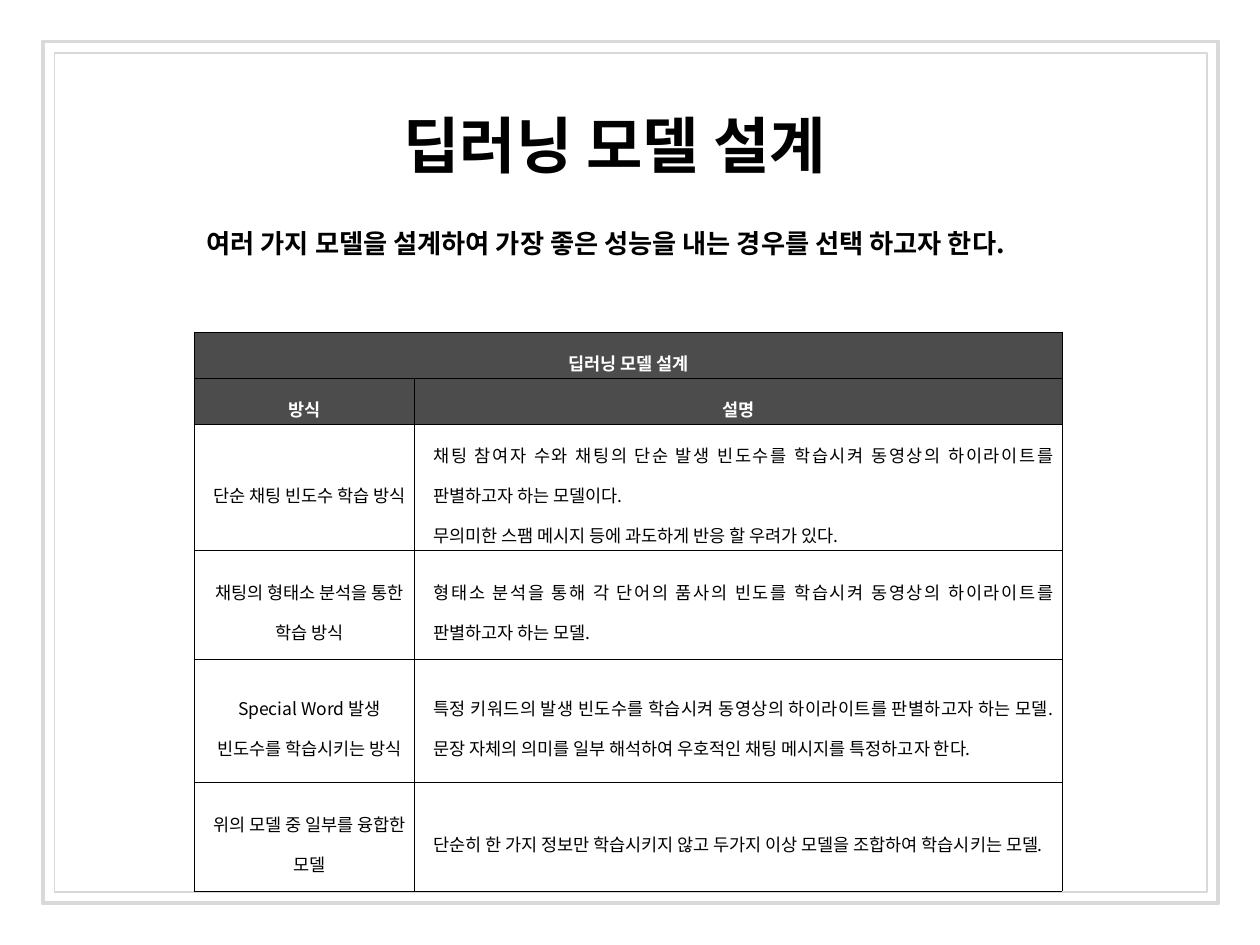
import pptx
import pptx.util
import pptx.dml.color
import pptx.enum.text
import pptx.enum.shapes
import lxml.etree

Pt = pptx.util.Pt
ALIGN = pptx.enum.text.PP_ALIGN
MIDDLE = pptx.enum.text.MSO_ANCHOR.MIDDLE
FIT = pptx.enum.text.MSO_AUTO_SIZE
NS = "http://schemas.openxmlformats.org/drawingml/2006/main"
FACE = "Noto Sans CJK KR"
HUES = {"ink": "000000", "paper": "FFFFFF", "head": "4C4C4C", "frame": "D9D9D9"}
WIDE, HIGH = 100, 75
UNIT = pptx.util.Inches(10) // WIDE
COLS = [17.5, 51.4]
ROWS = [3.6, 3.7, 10, 8.6, 9.8, 8.6]
HEADS = [["딥러닝 모델 설계", ""], ["방식", "설명"]]
MODELS = [
    ["단순 채팅 빈도수 학습 방식",
     "채팅 참여자 수와 채팅의 단순 발생 빈도수를 학습시켜 동영상의 하이라이트를 판별하고자 하는 모델이다.\n"
     "무의미한 스팸 메시지 등에 과도하게 반응 할 우려가 있다."],
    ["채팅의 형태소 분석을 통한 학습 방식",
     "형태소 분석을 통해 각 단어의 품사의 빈도를 학습시켜 동영상의 하이라이트를 판별하고자 하는 모델."],
    ["Special Word 발생 빈도수를 학습시키는 방식",
     "특정 키워드의 발생 빈도수를 학습시켜 동영상의 하이라이트를 판별하고자 하는 모델. "
     "문장 자체의 의미를 일부 해석하여 우호적인 채팅 메시지를 특정하고자 한다."],
    ["위의 모델 중 일부를 융합한 모델",
     "단순히 한 가지 정보만 학습시키지 않고 두가지 이상 모델을 조합하여 학습시키는 모델."],
]


def grid(count):
    """Turn grid steps into a length."""
    return pptx.util.Emu(round(count * UNIT))


def hue(name):
    """Look up a colour by name."""
    return pptx.dml.color.RGBColor.from_string(HUES[name])


def apply(item, values):
    """Set every attribute in a dict of format values."""
    for name, value in values.items():
        setattr(item, name, value)


def place(shape, box):
    """Move a shape to a box given in grid steps."""
    names = ("left", "top", "width", "height")
    apply(shape, dict(zip(names, map(grid, box))))


def child(parent, tag, **values):
    """Add a drawing element with attributes."""
    return lxml.etree.SubElement(parent, f"{{{NS}}}{tag}", **values)


def write(frame, text, size, tone, bold, align, lead=1.0, inset=0):
    """Fill a text frame with styled paragraphs."""
    frame.text = text
    for para in frame.paragraphs:
        props = para._p.get_or_add_pPr()
        props.set("marL", str(grid(inset)))
        props.set("indent", "0")
        child(props, "buNone")
        apply(para, {"alignment": align, "line_spacing": lead, "space_before": Pt(0)})
        for run in para.runs:
            apply(run.font, {"size": Pt(size), "bold": bold, "name": FACE})
            run.font.color.rgb = hue(tone)
            child(run._r.get_or_add_rPr(), "ea", typeface=FACE)


def frame(slide, box, weight):
    """Draw one border rectangle."""
    rect = slide.shapes.add_shape(pptx.enum.shapes.MSO_SHAPE.RECTANGLE, 0, 0, 0, 0)
    place(rect, box)
    rect.shadow.inherit = False
    rect.fill.background()
    rect.line.color.rgb = hue("frame")
    rect.line.width = Pt(weight)


def title(slide, box):
    """Set the heading of the slide."""
    shape = slide.shapes.title
    place(shape, box)
    shape.line.color.rgb = hue("paper")
    shape.line.width = Pt(0.25)
    sides = ("left", "top", "right", "bottom")
    apply(shape.text_frame, {f"margin_{side}": grid(1) for side in sides})
    apply(shape.text_frame, {"vertical_anchor": MIDDLE, "auto_size": FIT.NONE})
    write(shape.text_frame, "딥러닝 모델 설계", 35, "ink", True, ALIGN.CENTER)


def lead(slide, box):
    """Set the sentence under the heading."""
    shape = slide.placeholders[1]
    place(shape, box)
    apply(shape.text_frame, {"vertical_anchor": MIDDLE, "word_wrap": True,
                             "auto_size": FIT.SHAPE_TO_FIT_TEXT})
    write(shape.text_frame, "여러 가지 모델을 설계하여 가장 좋은 성능을 내는 경우를 선택 하고자 한다.",
          15, "ink", True, ALIGN.LEFT)


def border(cell):
    """Rule all four sides of a cell."""
    props = cell._tc.get_or_add_tcPr()
    for side in "LRTB":
        line = child(props, f"ln{side}", w=str(Pt(0.28)))
        child(child(line, "solidFill"), "srgbClr", val=HUES["ink"])


def chart(slide, box):
    """Build the table of models."""
    table = slide.shapes.add_table(len(ROWS), len(COLS), *map(grid, box)).table
    apply(table, {"first_row": False, "horz_banding": False})
    for col, size in zip(table.columns, COLS):
        col.width = grid(size)
    for row, size in zip(table.rows, ROWS):
        row.height = grid(size)
    table.cell(0, 0).merge(table.cell(0, 1))
    for r, texts in enumerate(HEADS + MODELS):
        head = r < len(HEADS)
        for c, text in enumerate(texts):
            cell = table.cell(r, c)
            border(cell)
            apply(cell, {"margin_left": grid(0.7), "margin_right": grid(0.7),
                         "margin_top": grid(0.2), "margin_bottom": grid(0.2),
                         "vertical_anchor": MIDDLE})
            if head:
                cell.fill.solid()
                cell.fill.fore_color.rgb = hue("head")
            else:
                cell.fill.background()
            if text:
                align = ALIGN.CENTER if head or c == 0 else ALIGN.JUSTIFY
                write(cell.text_frame, text, 10, "paper" if head else "ink",
                      head, align, 1.6, 0 if head else 0.8)


def main():
    """Build and save the slide."""
    deck = pptx.Presentation()
    apply(deck, {"slide_width": grid(WIDE), "slide_height": grid(HIGH)})
    slide = deck.slides.add_slide(deck.slide_layouts[1])
    frame(slide, (4.3, 4.2, 91.5, 66.6), 0.75)
    frame(slide, (3.4, 3.3, 93.3, 68.4), 2.25)
    title(slide, (21.2, 7.7, 55.2, 7.4))
    chart(slide, (15.4, 26.4, sum(COLS), sum(ROWS)))
    lead(slide, (15.4, 17.5, 84, 3.5))
    deck.save("out.pptx")


if __name__ == "__main__":
    main()
